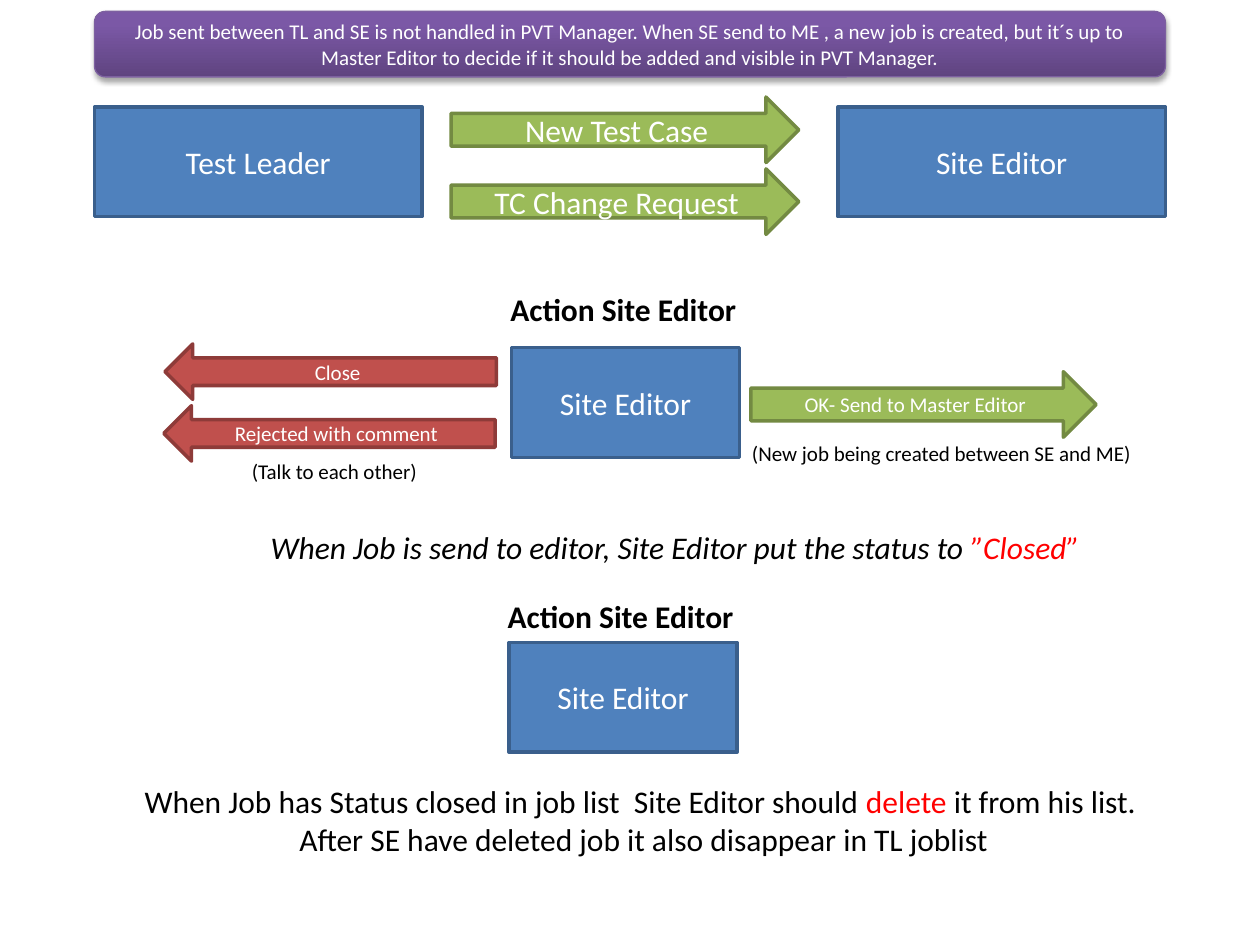
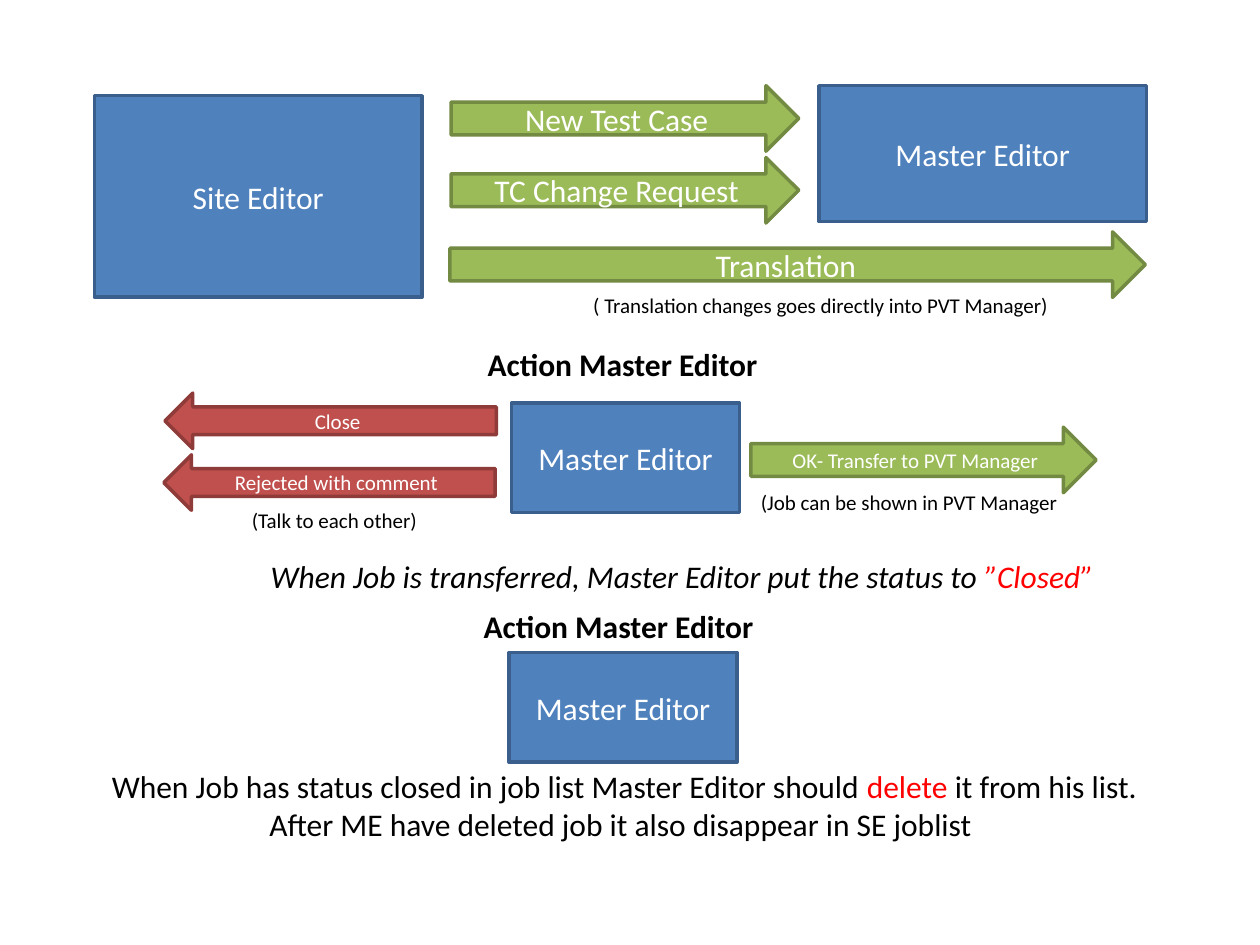
"""Two slides on how test-case jobs pass between test leader and editors."""
from copy import deepcopy
from dataclasses import dataclass

from lxml import etree
from pptx import Presentation
from pptx.dml.color import RGBColor
from pptx.enum.shapes import MSO_SHAPE
from pptx.enum.text import MSO_ANCHOR, MSO_AUTO_SIZE, PP_ALIGN
from pptx.oxml.ns import qn
from pptx.util import Inches, Pt

RECT, ROUNDED = MSO_SHAPE.RECTANGLE, MSO_SHAPE.ROUNDED_RECTANGLE
RIGHT, LEFT = MSO_SHAPE.RIGHT_ARROW, MSO_SHAPE.LEFT_ARROW
TOP, MIDDLE = MSO_ANCHOR.TOP, MSO_ANCHOR.MIDDLE
ALIGN_LEFT, ALIGN_CENTER = PP_ALIGN.LEFT, PP_ALIGN.CENTER
FIT_SHAPE, NO_FIT = MSO_AUTO_SIZE.SHAPE_TO_FIT_TEXT, MSO_AUTO_SIZE.NONE
TITLE_ONLY = 5
COLS, ROWS = 100, 75


@dataclass(frozen=True)
class Theme:
    """Colours (fill, outline), type sizes and line widths."""
    font: str = "Calibri"
    large: int = 18
    small: int = 12
    text: str = "000000"
    on_fill: str = "FFFFFF"
    accent: str = "FF0000"
    role: tuple = ("4F81BD", "3A5F8C")
    forward: tuple = ("9BBB59", "738A42")
    back: tuple = ("C0504D", "8E3B39")
    banner: tuple = ((0, "5F4480"), (0.8, "7B58A6"), (1, "7C57A8"))
    banner_line: str = "7D60A0"
    outline: float = 2
    thin: float = 0.75


class Deck:
    """Holds the theme and the current slide; lengths are grid columns and rows."""

    def __init__(self, prs, theme):
        self.prs, self.theme = prs, theme
        self.slide = None

    def new_slide(self):
        """Start a slide that has a title placeholder."""
        self.slide = self.prs.slides.add_slide(self.prs.slide_layouts[TITLE_ONLY])

    def place(self, x, y, w, h):
        """Turn grid units into left, top, width and height."""
        col, row = self.prs.slide_width / COLS, self.prs.slide_height / ROWS
        return [round(n) for n in (x * col, y * row, w * col, h * row)]

    def add_text(self, tf, paragraphs, size, color, align, bold=False, italic=False):
        """Fill a text frame; a paragraph is a list of texts or (text, colour) runs."""
        for i, runs in enumerate(paragraphs):
            p = tf.paragraphs[0] if i == 0 else tf.add_paragraph()
            p.alignment = align
            for run in runs:
                text, run_color = (run, color) if isinstance(run, str) else run
                r = p.add_run()
                r.text = text
                r.font.name, r.font.size = self.theme.font, Pt(size)
                r.font.bold, r.font.italic = bold, italic
                r.font.color.rgb = RGBColor.from_string(run_color)

    def shape(self, kind, box, text, size, colors):
        """Draw a filled, outlined shape with centred text."""
        fill, line = colors
        sp = self.slide.shapes.add_shape(kind, *self.place(*box))
        sp.shadow.inherit = False
        sp.fill.solid()
        sp.fill.fore_color.rgb = RGBColor.from_string(fill)
        sp.line.color.rgb = RGBColor.from_string(line)
        sp.line.width = Pt(self.theme.outline)
        sp.text_frame.word_wrap = True
        sp.text_frame.vertical_anchor = MIDDLE
        self.add_text(sp.text_frame, [[text]], size, self.theme.on_fill, ALIGN_CENTER)
        return sp

    def role(self, box, name):
        """Draw the box of one role."""
        self.shape(RECT, box, name, self.theme.large, self.theme.role)

    def forward(self, box, text, size=None):
        """Draw a green arrow that passes a job on."""
        self.shape(RIGHT, box, text, size or self.theme.large, self.theme.forward)

    def back(self, box, text):
        """Draw a red arrow that sends a job back."""
        self.shape(LEFT, box, text, self.theme.small, self.theme.back)

    def banner(self, box, text):
        """Draw the rounded gradient band with its soft shadow."""
        t = self.theme
        sp = self.shape(ROUNDED, box, text, t.small, (t.banner_line, t.banner_line))
        sp.line.width = Pt(t.thin)
        sp.fill.gradient()
        sp.fill.gradient_angle = 90
        props = sp._element.spPr
        stops = props.find(".//" + qn("a:gsLst"))
        stops.insert(1, deepcopy(stops[0]))
        for stop, (position, color) in zip(sp.fill.gradient_stops, t.banner):
            stop.position = position
            stop.color.rgb = RGBColor.from_string(color)
        shadow = etree.SubElement(
            props.find(qn("a:effectLst")), qn("a:outerShdw"), blurRad=str(Pt(3.1)),
            dist=str(Pt(1.8)), dir="5400000", rotWithShape="0")
        color = etree.SubElement(shadow, qn("a:srgbClr"), val=t.text)
        etree.SubElement(color, qn("a:alpha"), val="35000")

    def label(self, box, paragraphs, size=None, align=ALIGN_LEFT, **style):
        """Add unwrapped text on the slide."""
        tf = self.slide.shapes.add_textbox(*self.place(*box)).text_frame
        tf.word_wrap, tf.auto_size = False, FIT_SHAPE
        self.add_text(tf, paragraphs, size or self.theme.large, self.theme.text,
                      align, **style)

    def note(self, box, text):
        """Add a small remark."""
        self.label(box, [[text]], self.theme.small)

    def title(self, box, text):
        """Move and fill the title placeholder."""
        sp = self.slide.shapes.title
        sp.left, sp.top, sp.width, sp.height = self.place(*box)
        tf = sp.text_frame
        tf.word_wrap, tf.auto_size, tf.vertical_anchor = False, NO_FIT, TOP
        self.add_text(tf, [[text]], self.theme.large, self.theme.text, ALIGN_LEFT,
                      bold=True)

    def requests(self, top):
        """Draw the two request arrows both slides open with."""
        for i, text in enumerate(("New Test Case", "TC Change Request")):
            self.forward((35.8, top + 5.7 * i, 27.6, 5.2), text)

    def decision(self, role, top, back_top, heading, ok_text, ok_note):
        """Draw a role with its ways to answer: two back, one forward."""
        x, w = heading
        self.title((x, top - 5.1, w, 4), f"Action {role}")
        self.role((40.6, top, 18.1, 8.7), role)
        self.forward((59.6, top + 1.9, 27.4, 5.2), ok_text, self.theme.small)
        self.back((13.1, back_top, 26.3, 4.4), "Close")
        self.back((13, back_top + 4.9, 26.3, 4.4), "Rejected with comment")
        self.note((19, back_top + 8.6, 15.3, 3), "(Talk to each other)")
        self.note(*ok_note)

    def status(self, box, text):
        """State in italics that the job is closed."""
        self.label(box, [[text, ("\u201dClosed\u201d", self.theme.accent)]], italic=True)

    def cleanup(self, role, top, heading, box, paragraphs):
        """Draw the role that deletes a closed job, with the explanation below."""
        x, w = heading
        self.label((x, top - 4.1, w, 4), [[f"Action {role}"]], bold=True)
        self.role((40.4, top, 18.1, 8.7), role)
        self.label(box, paragraphs, align=ALIGN_CENTER)


def site_editor_slide(deck):
    """Jobs from the test leader to the site editor."""
    role = "Site Editor"
    deck.new_slide()
    deck.banner((7.5, 0.9, 85, 5.2),
                "Job sent between TL and SE is not handled in PVT Manager. When SE send "
                "to ME , a new job is created, but it\u00b4s up to Master Editor to decide "
                "if it should be added and visible in PVT Manager.")
    deck.role((7.5, 8.5, 26, 8.7), "Test Leader")
    deck.role((66.5, 8.5, 26, 8.7), role)
    deck.requests(7.7)
    deck.decision(role, 27.6, 27.3, (39.5, 20.3), "OK- Send to Master Editor",
                  ((58.7, 34.5, 32.4, 3), "(New job being created between SE and ME)"))
    deck.status((20.5, 41.4, 68.3, 4),
                "When Job is send to editor, Site Editor put the status to ")
    deck.cleanup(role, 51, (39.3, 20.1), (10.3, 61.6, 81.6, 7.1), [
        ["When Job has Status closed in job list  Site Editor should ",
         ("delete", deck.theme.accent), " it from his list. "],
        ["After SE have deleted job it also disappear in TL joblist"]])


def master_editor_slide(deck):
    """Jobs from the site editor to the master editor."""
    role = "Master Editor"
    deck.new_slide()
    deck.role((7.5, 7.6, 26, 16), "Site Editor")
    deck.role((65, 6.8, 26, 10.8), role)
    deck.requests(6.8)
    deck.forward((35.7, 18.4, 55.2, 5.2), "Translation ")
    deck.note((46.1, 22.7, 38.5, 3),
              "( Translation changes goes directly into PVT Manager)")
    deck.decision(role, 32, 31.2, (37.7, 23.8), "OK- Transfer to PVT Manager",
                  ((59.4, 38.4, 25.8, 3), "(Job can be shown in PVT Manager"))
    deck.status((20.5, 43.7, 68, 4),
                "When Job is transferred, Master Editor put the status to ")
    deck.cleanup(role, 51.8, (37.4, 24.5), (6.7, 60.4, 85.7, 10.1), [
        ["When Job has status closed in job list Master Editor should ",
         ("delete ", deck.theme.accent), "it from his list."],
        ["After ME have deleted job it also disappear in SE joblist "]])


def main():
    """Build and save the presentation."""
    prs = Presentation()
    prs.slide_width, prs.slide_height = Inches(10), Inches(7.5)
    deck = Deck(prs, Theme())
    site_editor_slide(deck)
    master_editor_slide(deck)
    prs.save("out.pptx")


main()
